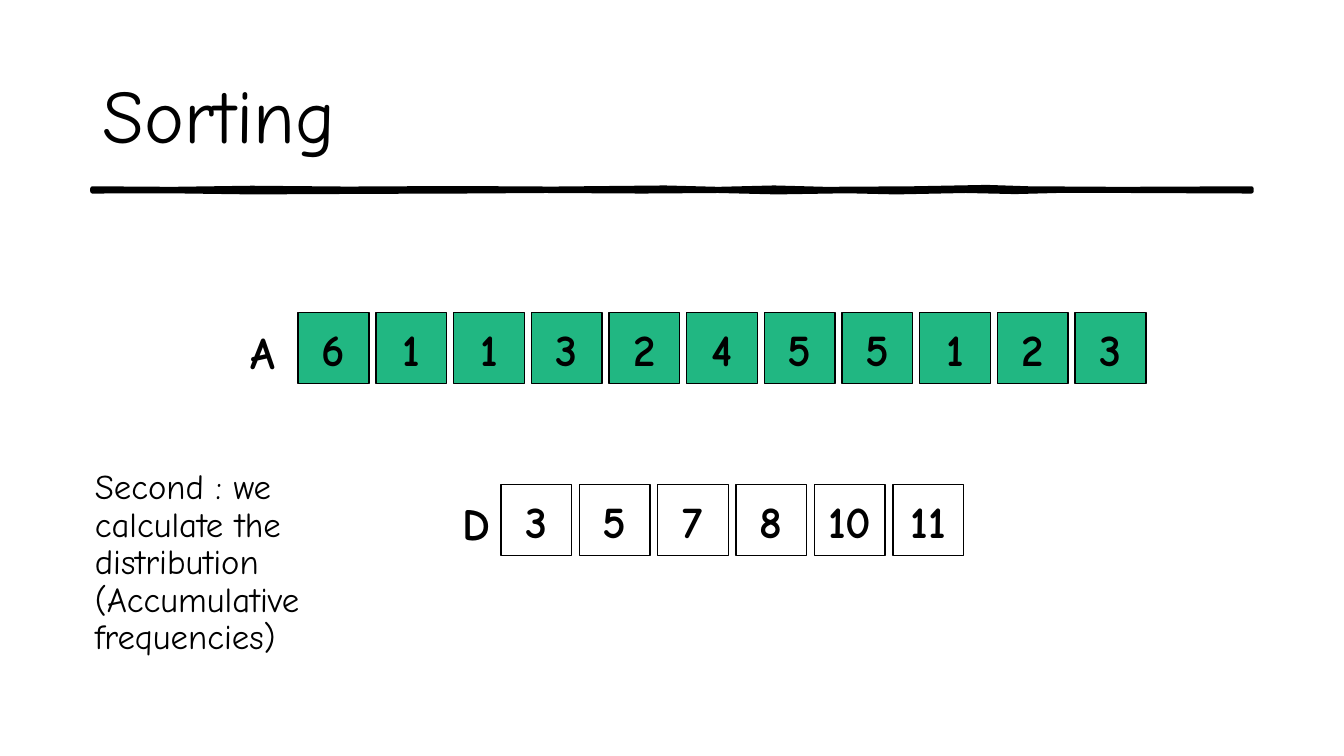
"""Build the Sorting slide with array A and its accumulated distribution D."""
import pptx
import pptx.dml.color
import pptx.enum.shapes
import pptx.enum.text
import pptx.oxml.ns
import pptx.util

Pt = pptx.util.Pt
FONT = "Comic Neue"
BLACK = "000000"
CELL = 50.5
TITLE = "Sorting"
EXPLANATION = "Second : we calculate the distribution (Accumulative frequencies)"
ARRAYS = [
    {"label": "A", "values": [6, 1, 1, 3, 2, 4, 5, 5, 1, 2, 3], "fill": "21B782",
     "left": 213, "top": 223.4, "pitch": 55.5, "label_left": 172, "label_top": 228.2},
    {"label": "D", "values": [3, 5, 7, 8, 10, 11], "fill": None,
     "left": 357.8, "top": 346.3, "pitch": 56, "label_left": 323.3, "label_top": 350.6},
]
UNDERLINE_TOP = [(66, 134.6), (123, 135), (180, 134.2), (248, 134.8), (325, 134.4),
                 (395, 134.8), (475, 134), (513, 135), (553, 134), (590, 135),
                 (652, 134.6), (705, 133.6), (735, 134.6), (800, 135), (894, 134.6)]
UNDERLINE_BOTTOM = [(894, 136.8), (806, 136.4), (755, 136.4), (725, 137.2), (690, 136.4),
                    (640, 137.4), (605, 136.6), (555, 137.4), (513, 136.4), (459, 136.8),
                    (390, 136.4), (329, 136.8), (269, 137), (180, 137.4), (120, 136.6),
                    (66, 136.8)]


def colour(hex_code):
    return pptx.dml.color.RGBColor.from_string(hex_code)


def write(owner, text, size, bold=False, align=pptx.enum.text.PP_ALIGN.LEFT):
    frame = owner.text_frame
    frame.text = text
    frame.auto_size = pptx.enum.text.MSO_AUTO_SIZE.NONE
    paragraph = frame.paragraphs[0]
    paragraph.alignment = align
    font = paragraph.runs[0].font
    font.name, font.size, font.bold = FONT, Pt(size), bold
    font.color.rgb = colour(BLACK)
    return paragraph


def place(owner, left, top, width, height):
    owner.left, owner.top, owner.width, owner.height = map(Pt, (left, top, width, height))


def paint(shape, fill, line_width):
    shape.shadow.inherit = False
    if fill:
        shape.fill.solid()
        shape.fill.fore_color.rgb = colour(fill)
    else:
        shape.fill.background()
    shape.line.color.rgb = colour(BLACK)
    shape.line.width = Pt(line_width)


def draw_underline(slide):
    outline = [(Pt(x), Pt(y)) for x, y in UNDERLINE_TOP + UNDERLINE_BOTTOM]
    builder = slide.shapes.build_freeform(*outline[0])
    builder.add_line_segments(outline[1:], close=True)
    paint(builder.convert_to_shape(), BLACK, 3)


def draw_array(slide, array):
    for index, value in enumerate(array["values"]):
        left = array["left"] + index * array["pitch"]
        cell = slide.shapes.add_shape(pptx.enum.shapes.MSO_SHAPE.RECTANGLE,
                                      Pt(left), Pt(array["top"]), Pt(CELL), Pt(CELL))
        paint(cell, array["fill"], 1)
        write(cell, str(value), 32, True, pptx.enum.text.PP_ALIGN.CENTER)
        cell.text_frame.vertical_anchor = pptx.enum.text.MSO_ANCHOR.MIDDLE
        cell.text_frame.word_wrap = False
    label = slide.shapes.add_textbox(Pt(array["label_left"]), Pt(array["label_top"]),
                                     Pt(34.6), Pt(46))
    label.text_frame.word_wrap = True
    write(label, array["label"], 32, True)


def main():
    deck = pptx.Presentation()
    deck.slide_width, deck.slide_height = Pt(960), Pt(540)
    slide = deck.slides.add_slide(deck.slide_layouts[1])
    title, explanation = slide.shapes.title, slide.placeholders[1]

    draw_underline(slide)
    place(title, 66.2, 28.8, 828, 104.4)
    write(title, TITLE, 54)
    title.text_frame.vertical_anchor = pptx.enum.text.MSO_ANCHOR.MIDDLE

    place(explanation, 60.5, 331.9, 170, 118)
    paragraph = write(explanation, EXPLANATION, 24.8)
    paragraph.line_spacing = 0.9
    paragraph.space_before = Pt(10)
    properties = paragraph._p.get_or_add_pPr()
    properties.set("marL", "0")
    properties.set("indent", "0")
    properties.append(pptx.oxml.parse_xml(
        "<a:buNone %s/>" % pptx.oxml.ns.nsdecls("a")))

    for array in ARRAYS:
        draw_array(slide, array)
    deck.save("out.pptx")


if __name__ == "__main__":
    main()
